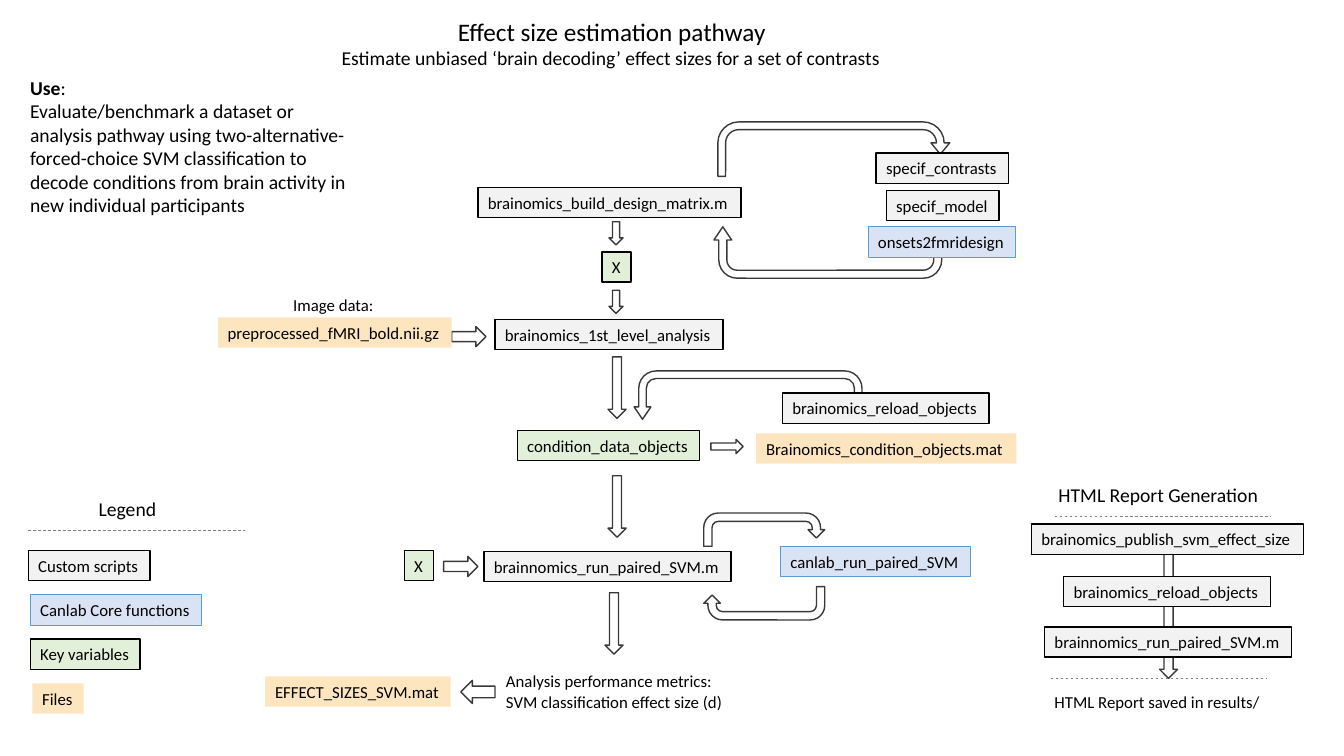
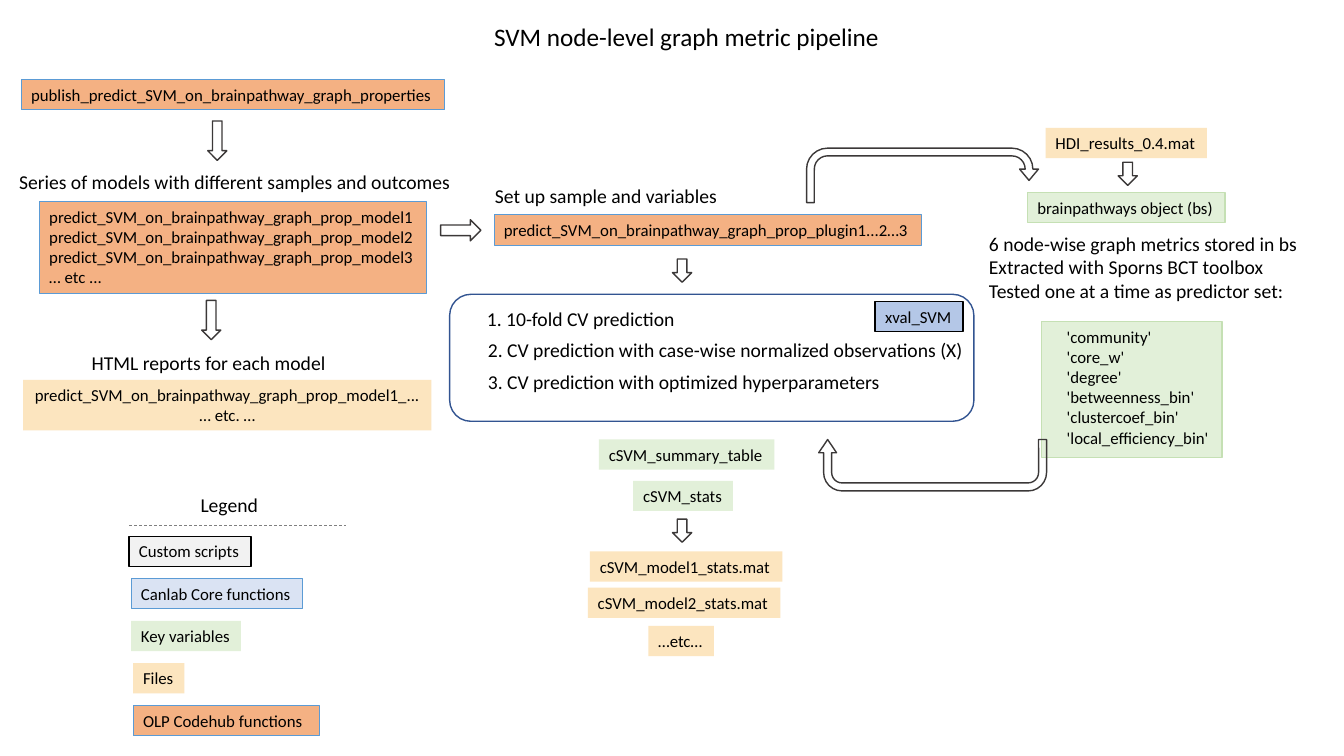
"""Build two flow charts: an effect size pathway and an SVM graph metric pipeline."""
import pptx
import pptx.dml.color
import pptx.enum.dml
import pptx.enum.shapes
import pptx.enum.text
import pptx.oxml
import pptx.oxml.ns
import pptx.util

Inches = pptx.util.Inches
Pt = pptx.util.Pt
RGB = pptx.dml.color.RGBColor.from_string
PRESET = pptx.enum.shapes.MSO_SHAPE
ALIGN = pptx.enum.text.PP_ALIGN

COLORS = {
    "text": "000000", "arrow": "3B3838", "divider": "808080", "frame": "325491",
    "grey": "F2F2F2", "blue": "DAE3F3", "deep blue": "B4C7E7", "green": "E2F0D9",
    "sand": "FCE5BF", "orange": "F4B183", "blue edge": "5B9BD5", "green edge": "C5E0B4",
}
STYLES = {
    "script": ("grey", "text", 1),
    "core": ("blue", "blue edge", 0.5),
    "validation": ("deep blue", "text", 1),
    "key variable": ("green", "text", 1),
    "variable": ("green", None, 0),
    "object": ("green", "green edge", 1),
    "file": ("sand", None, 0),
    "olp": ("orange", "blue edge", 0.5),
    "arrow": (None, "arrow", 1),
    "frame": (None, "frame", 1),
}


def add_part(slide, preset, style, left, top, width, height):
    part = slide.shapes.add_shape(
        preset, Inches(left), Inches(top), Inches(width), Inches(height))
    part.shadow.inherit = False
    fill, edge, weight = STYLES[style]
    if fill:
        part.fill.solid()
        part.fill.fore_color.rgb = RGB(COLORS[fill])
    else:
        part.fill.background()
    if edge:
        part.line.color.rgb = RGB(COLORS[edge])
        part.line.width = Pt(weight)
    else:
        part.line.fill.background()
    return part


def write(part, text, size=12, align=ALIGN.LEFT, wrap=False):
    frame = part.text_frame
    frame.text = text
    frame.word_wrap = wrap
    frame.auto_size = pptx.enum.text.MSO_AUTO_SIZE.SHAPE_TO_FIT_TEXT
    frame.vertical_anchor = pptx.enum.text.MSO_ANCHOR.TOP
    for paragraph in frame.paragraphs:
        paragraph.alignment = align
        paragraph.font.name = "Calibri"
        paragraph.font.size = Pt(size)
        paragraph.font.color.rgb = RGB(COLORS["text"])


deck = pptx.Presentation()
deck.slide_width = Inches(13.33)
deck.slide_height = Inches(7.5)

titles = [
    ("Effect size estimation pathway", 4.44, 0.11, 3.3),
    ("SVM node-level graph metric pipeline", 4.8, 0.16, 4.07),
]
for text, left, top, width in titles:
    slide = deck.slides.add_slide(deck.slide_layouts[5])
    title = slide.shapes.title
    title.left, title.top = Inches(left), Inches(top)
    title.width, title.height = Inches(width), Inches(0.4)
    write(title, text, 18)
pathway, pipeline = deck.slides

metrics = add_part(pipeline, PRESET.RECTANGLE, "object", 10.33, 3.19, 1.79, 1.35)
write(metrics, "'community'\n'core_w'\n'degree'\n'betweenness_bin'\n"
      "'clustercoef_bin'\n'local_efficiency_bin'")
metrics.text_frame.margin_left = Inches(0.25)

loop_up = [0.156, 0.173, 0.257, 0.359, 1]
loop_down = [0.142, 0.173, 0.208, 0.412, 0.593]
loop_plain = [0.25, 0.25, 0.25, 0.4375, 0.75]
loops = [
    (pathway, 6.98, 5.09, 1.2, 0.33, loop_plain, 0, False),
    (pathway, 6.98, 5.82, 1.2, 0.33, loop_plain, 180, False),
    (pathway, 7.08, 2.25, 2.26, 0.51, loop_up, 180, False),
    (pathway, 7.12, 1.21, 2.3, 0.54, loop_down, 0, False),
    (pathway, 6.29, 3.68, 2.26, 0.48, loop_up, 0, True),
    (pipeline, 8.12, 4.36, 2.26, 0.51, loop_up, 180, False),
    (pipeline, 8, 1.47, 2.3, 0.54, loop_down, 0, False),
]
for slide, left, top, width, height, bends, turn, mirrored in loops:
    loop = add_part(slide, PRESET.U_TURN_ARROW, "arrow", left, top, width, height)
    loop.rotation = turn
    for index, bend in enumerate(bends):
        loop.adjustments[index] = bend
    if mirrored:
        loop.element.spPr.find(pptx.oxml.ns.qn("a:xfrm")).set("flipH", "1")

arrows = [
    (pathway, PRESET.DOWN_ARROW, 11.5, 5.3, 0.18, 1.43),
    (pathway, PRESET.DOWN_ARROW, 6.04, 2.2, 0.14, 0.23),
    (pathway, PRESET.DOWN_ARROW, 6.04, 2.88, 0.14, 0.23),
    (pathway, PRESET.DOWN_ARROW, 6.03, 3.54, 0.18, 0.61),
    (pathway, PRESET.DOWN_ARROW, 6.03, 4.72, 0.18, 0.61),
    (pathway, PRESET.DOWN_ARROW, 6, 5.88, 0.18, 0.61),
    (pathway, PRESET.RIGHT_ARROW, 4.48, 3.24, 0.34, 0.2),
    (pathway, PRESET.RIGHT_ARROW, 4.4, 5.52, 0.34, 0.2),
    (pathway, PRESET.RIGHT_ARROW, 7.05, 4.36, 0.32, 0.14),
    (pathway, PRESET.LEFT_ARROW, 4.57, 6.75, 0.34, 0.23),
    (pipeline, PRESET.DOWN_ARROW, 2.06, 1.2, 0.19, 0.39),
    (pipeline, PRESET.DOWN_ARROW, 2, 2.98, 0.19, 0.39),
    (pipeline, PRESET.DOWN_ARROW, 11.09, 1.61, 0.19, 0.23),
    (pipeline, PRESET.DOWN_ARROW, 6.67, 5.15, 0.19, 0.23),
    (pipeline, PRESET.DOWN_ARROW, 6.67, 2.57, 0.19, 0.23),
    (pipeline, PRESET.RIGHT_ARROW, 4.37, 2.18, 0.4, 0.21),
]
for slide, preset, *place in arrows:
    add_part(slide, preset, "arrow", *place)

boxes = [
    (pathway, "brainomics_build_design_matrix.m", "script", 4.74, 1.86, 2.61),
    (pathway, "X", "key variable", 5.97, 2.5, 0.29),
    (pathway, "specif_contrasts", "script", 8.69, 1.52, 1.31),
    (pathway, "specif_model", "script", 8.79, 1.89, 1.12),
    (pathway, "onsets2fmridesign", "core", 8.61, 2.25, 1.46),
    (pathway, "preprocessed_fMRI_bold.nii.gz", "file", 2.16, 3.15, 2.32),
    (pathway, "brainomics_1st_level_analysis", "script", 4.91, 3.17, 2.26),
    (pathway, "brainomics_reload_objects", "script", 7.76, 3.9, 2.05),
    (pathway, "condition_data_objects", "key variable", 5.13, 4.27, 1.81),
    (pathway, "Brainomics_condition_objects.mat", "file", 7.5, 4.3, 2.58),
    (pathway, "X", "key variable", 4.01, 5.46, 0.29),
    (pathway, "brainnomics_run_paired_SVM.m", "script", 4.8, 5.47, 2.45),
    (pathway, "canlab_run_paired_SVM", "core", 7.74, 5.42, 1.88),
    (pathway, "EFFECT_SIZES_SVM.mat", "file", 2.63, 6.71, 1.84),
    (pathway, "brainomics_publish_svm_effect_size", "script", 10.23, 5.2, 2.7),
    (pathway, "brainomics_reload_objects", "script", 10.55, 5.72, 2.05),
    (pathway, "brainnomics_run_paired_SVM.m", "script", 10.36, 6.22, 2.45),
    (pipeline, "publish_predict_SVM_on_brainpathway_graph_properties", "olp", 0.21, 0.79, 4.2),
    (pipeline, "predict_SVM_on_brainpathway_graph_prop_plugin1...2…3", "olp", 4.9, 2.13, 4.24),
    (pipeline, "xval_SVM", "validation", 8.68, 2.99, 0.87),
    (pipeline, "HDI_results_0.4.mat", "file", 10.37, 1.27, 1.6),
    (pipeline, "brainpathways object (bs)", "object", 10.19, 1.91, 1.96),
    (pipeline, "cSVM_summary_table", "variable", 5.94, 4.36, 1.74),
    (pipeline, "cSVM_stats", "variable", 6.28, 4.77, 0.99),
    (pipeline, "cSVM_model1_stats.mat", "file", 5.85, 5.47, 1.91),
    (pipeline, "cSVM_model2_stats.mat", "file", 5.83, 5.83, 1.91),
    (pipeline, "…etc…", "file", 6.43, 6.21, 0.65),
]

labels = [
    (pathway, "Estimate unbiased ‘brain decoding’ effect sizes for a set of contrasts",
     14, 3.29, 0.41, 5.64, 0.34),
    (pathway, "Image data:", 12, 2.81, 2.87, 1.01, 0.3),
    (pathway, "Analysis performance metrics:\nSVM classification effect size (d)",
     12, 4.92, 6.61, 2.38, 0.5),
    (pathway, "HTML Report Generation", 14, 10.4, 4.74, 2.2, 0.34),
    (pathway, "HTML Report saved in results/", 12, 10.36, 6.81, 2.26, 0.3),
    (pipeline, "Series of models with different samples and outcomes",
     14, 0.09, 1.64, 4.52, 0.34),
    (pipeline, "HTML reports for each model", 14, 0.81, 3.43, 2.54, 0.34),
    (pipeline, "Set up sample and variables", 14, 4.81, 1.78, 2.43, 0.34),
    (pipeline, "1. 10-fold CV prediction", 14, 4.73, 3, 2.08, 0.34),
    (pipeline, "2. CV prediction with case-wise normalized observations (X)",
     14, 4.74, 3.3, 4.92, 0.34),
    (pipeline, "3. CV prediction with optimized hyperparameters",
     14, 4.74, 3.62, 4.17, 0.34),
    (pipeline, "6 node-wise graph metrics stored in bs\nExtracted with Sporns BCT toolbox\n"
     "Tested one at a time as predictor set:", 14, 9.71, 2.25, 3.29, 0.81),
]

dividers = [(pathway, 10.46, 5.12), (pathway, 10.42, 6.73)]

legend_rows = [
    ("Custom scripts", "script", 0, 1.21),
    ("Canlab Core functions", "core", 0.02, 1.7),
    ("Key variables", "variable", 0.02, 1.09),
    ("Files", "file", 0.04, 0.51),
    ("OLP Codehub functions", "olp", 0.04, 1.85),
]
legends = [
    (pathway, 0.28, 5.46, 0.44, 4, "key variable", 0.88, 4.88, 5.26),
    (pipeline, 1.28, 5.32, 0.42, 5, "variable", 1.89, 4.84, 5.21),
]
for slide, left, top, step, count, variable, heading_left, heading_top, divider_top in legends:
    labels.append((slide, "Legend", 14, heading_left, heading_top, 0.78, 0.34))
    dividers.append((slide, left, divider_top))
    for row, (text, style, shift, width) in enumerate(legend_rows[:count]):
        style = variable if style == "variable" else style
        boxes.append((slide, text, style, left + shift, top + row * step, width))

for slide, text, style, left, top, width in boxes:
    write(add_part(slide, PRESET.RECTANGLE, style, left, top, width, 0.3), text)

models = add_part(pipeline, PRESET.RECTANGLE, "olp", 0.39, 2, 3.84, 0.91)
model_names = [f"predict_SVM_on_brainpathway_graph_prop_model{n}" for n in (1, 2, 3)]
write(models, "\n".join(model_names + ["… etc ..."]))

reports = add_part(pipeline, PRESET.RECTANGLE, "file", 0.23, 3.77, 4.05, 0.5)
write(reports, "predict_SVM_on_brainpathway_graph_prop_model1_...\n… etc. …", align=ALIGN.CENTER)

add_part(pipeline, PRESET.ROUNDED_RECTANGLE, "frame", 4.46, 2.92, 5.2, 1.26)

for slide, text, size, *place in labels:
    write(slide.shapes.add_textbox(*map(Inches, place)), text, size)

use = pathway.shapes.add_textbox(Inches(0.2), Inches(0.7), Inches(3.47), Inches(1.51))
write(use, "Use\nEvaluate/benchmark a dataset or analysis pathway using "
      "two-alternative-forced-choice SVM classification to decode conditions "
      "from brain activity in new individual participants", 14, wrap=True)
use_heading = use.text_frame.paragraphs[0]
use_heading.runs[0].font.bold = True
use_heading.add_run().text = ":"

for slide, left, top in dividers:
    divider = slide.shapes.add_connector(
        pptx.enum.shapes.MSO_CONNECTOR.STRAIGHT,
        Inches(left), Inches(top), Inches(left + 2.15), Inches(top))
    divider.line.color.rgb = RGB(COLORS["divider"])
    divider.line.width = Pt(0.5)
    divider.line.dash_style = pptx.enum.dml.MSO_LINE.DASH
    divider.element.spPr.append(pptx.oxml.parse_xml(
        f"<a:effectLst {pptx.oxml.ns.nsdecls('a')}/>"))

deck.save("out.pptx")
